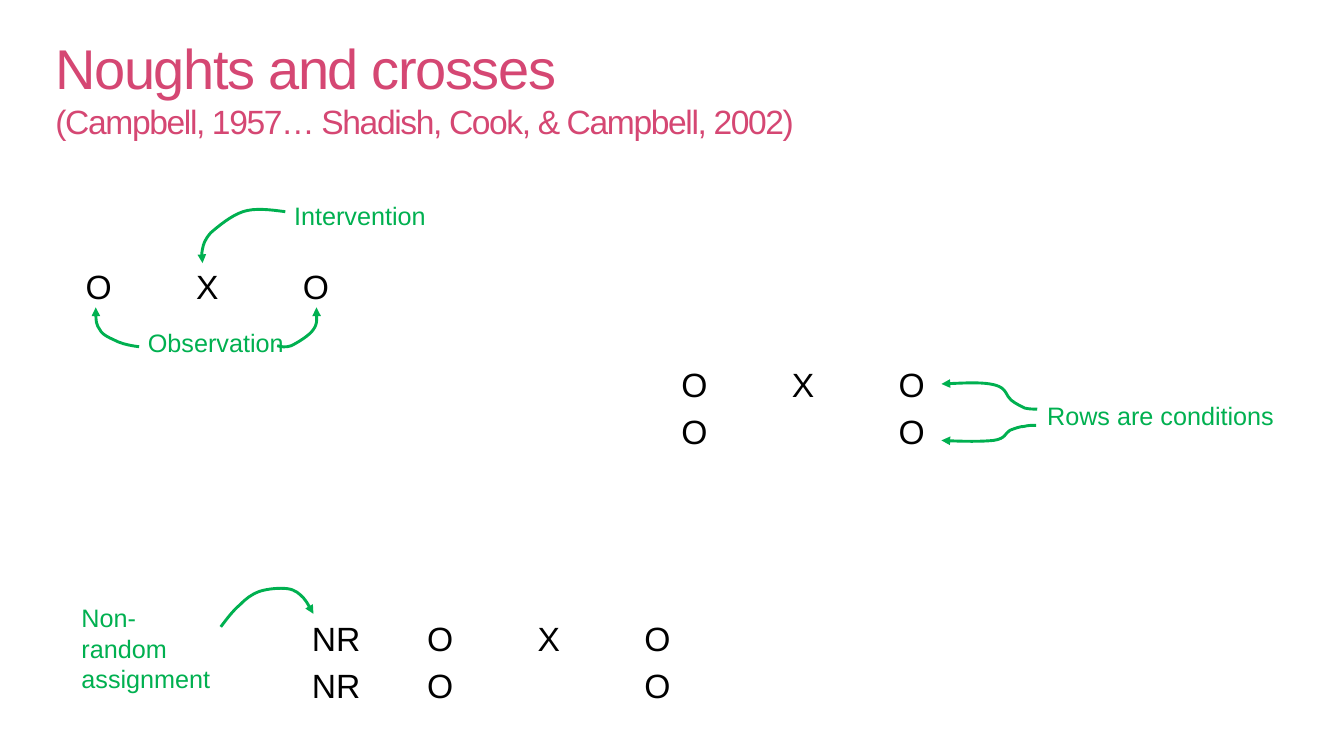
from dataclasses import dataclass

from lxml.etree import SubElement
from pptx import Presentation
from pptx.dml.color import RGBColor
from pptx.enum.text import MSO_ANCHOR, MSO_AUTO_SIZE, PP_ALIGN
from pptx.oxml.ns import qn
from pptx.slide import Slide
from pptx.util import Pt

LEFT, CENTER = PP_ALIGN.LEFT, PP_ALIGN.CENTER
MIDDLE, NO_FIT = MSO_ANCHOR.MIDDLE, MSO_AUTO_SIZE.NONE


@dataclass(frozen=True)
class Theme:
    font: str = "Arial"
    pink: RGBColor = RGBColor(0xD5, 0x47, 0x73)
    green: RGBColor = RGBColor(0x00, 0xB0, 0x50)
    black: RGBColor = RGBColor(0, 0, 0)
    head: float = 40
    body: float = 24
    note: float = 18
    line: float = 2.08
    col: float = 77.6
    row: float = 29.5


@dataclass(frozen=True)
class Grid:
    left: float
    top: float
    rows: list[list[str]]


@dataclass(frozen=True)
class Label:
    text: str
    left: float
    top: float
    width: float
    height: float = 29
    wrap: bool = False


@dataclass(frozen=True)
class Arrow:
    """A start point, then three points for each curve."""
    points: list[tuple[float, float]]


THEME = Theme()

TITLE = [("Noughts and crosses", THEME.head),
         ("(Campbell, 1957… Shadish, Cook, & Campbell, 2002)", THEME.body)]

GRIDS = [
    Grid(457.2, 258.5, [["O", "X", "O"], ["O", "", "O"]]),
    Grid(198, 439.9, [[" NR", "O", "X", "O"], [" NR", "O", "", "O"]]),
    Grid(31.7, 188.6, [["O", "X", "O"]]),
]

LABELS = [
    Label("Non-random assignment", 51.1, 427, 113, 72.7, True),
    Label("Intervention", 203, 139.7, 109.4),
    Label("Observation", 98.6, 230.4, 112.3),
    Label("Rows are conditions", 740.9, 282.2, 177.8),
]

ARROWS = [
    # Intervention to X
    Arrow([(203.8, 151.2), (193, 149.8), (182.2, 148.3), (173.5, 151.2),
           (164.9, 154.1), (155.5, 162), (150.5, 166.3),
           (146.2, 171.4), (145.4, 174.2), (144.7, 177.8),
           (144, 181.4), (144, 185), (144.7, 187.9)]),
    # Conditions to the upper and lower rows
    Arrow([(740.9, 292.3), (738, 292.3), (735.8, 292.3), (732.2, 291.6),
           (729.4, 290.2), (725.8, 288.7), (722.2, 285.8),
           (718.6, 283), (719.3, 277.2), (710.6, 275),
           (702.7, 272.9), (687.6, 273.6), (672.5, 274.3)]),
    Arrow([(740.2, 303.8), (737.3, 303.8), (734.4, 303.8), (731.5, 304.6),
           (728.6, 304.6), (725, 306), (721.4, 307.4),
           (717.8, 309.6), (718.6, 313.2), (709.9, 314.6),
           (702, 315.4), (687.6, 315.4), (672.5, 314.6)]),
    # Assignment to NR
    Arrow([(157.7, 447.8), (162, 442.1), (166.3, 436.3), (171.4, 432),
           (175.7, 427.7), (179.3, 424.8), (185, 422.6),
           (190.8, 420.5), (200.2, 419.8), (205.2, 420.5),
           (211, 421.2), (213.8, 424.1), (216.7, 427),
           (219.6, 430.6), (221.8, 434.9), (223.9, 438.5)]),
    # Observation to the first and last O
    Arrow([(99.4, 247.7), (94.3, 247), (89.3, 246.2), (84.2, 244.1),
           (79.9, 241.9), (73.4, 239.8), (71.3, 235.4),
           (68.4, 231.1), (68.4, 225.4), (68.4, 219.6)]),
    Arrow([(198, 247), (200.9, 247.7), (203.8, 248.4), (208.1, 247),
           (212.4, 244.8), (221, 239.8), (223.9, 235.4),
           (226.8, 231.1), (226.1, 225.4), (226.1, 219.6)]),
]


def apply(item: object, values: dict[str, object]) -> None:
    for name, value in values.items():
        setattr(item, name, value)


def style(font: object, size: float, color: RGBColor) -> None:
    apply(font, {"name": THEME.font, "size": Pt(size), "bold": False})
    font.color.rgb = color


def draw_title(slide: Slide) -> None:
    title = slide.shapes.title
    apply(title, {"left": Pt(32.4), "top": Pt(15.1),
                  "width": Pt(648), "height": Pt(90)})
    apply(title.text_frame, {
        "word_wrap": True, "auto_size": NO_FIT, "vertical_anchor": MIDDLE,
        "margin_top": Pt(8.6), "margin_bottom": Pt(3.6)})
    para = title.text_frame.paragraphs[0]
    apply(para, {"alignment": LEFT, "line_spacing": 1.0})
    for place, (text, size) in enumerate(TITLE):
        if place:
            para.add_line_break()
        run = para.add_run()
        run.text = text
        style(run.font, size, THEME.pink)
        run.font._element.set("spc", "-100")


def draw_grid(slide: Slide, grid: Grid) -> None:
    rows, cols = len(grid.rows), len(grid.rows[0])
    table = slide.shapes.add_table(
        rows, cols, Pt(grid.left), Pt(grid.top),
        Pt(cols * THEME.col), Pt(rows * THEME.row)).table
    apply(table, {"first_row": False, "horz_banding": False})
    for r, row in enumerate(grid.rows):
        for c, text in enumerate(row):
            cell = table.cell(r, c)
            cell.fill.background()
            para = cell.text_frame.paragraphs[0]
            para.alignment = CENTER
            if text:
                run = para.add_run()
                run.text = text
                style(run.font, THEME.body, THEME.black)


def draw_label(slide: Slide, label: Label) -> None:
    box = slide.shapes.add_textbox(Pt(label.left), Pt(label.top),
                                   Pt(label.width), Pt(label.height))
    box.text_frame.word_wrap = label.wrap
    run = box.text_frame.paragraphs[0].add_run()
    run.text = label.text
    style(run.font, THEME.note, THEME.green)


def draw_arrow(slide: Slide, arrow: Arrow) -> None:
    start, *rest = [(Pt(x), Pt(y)) for x, y in arrow.points]
    build = slide.shapes.build_freeform(*start, scale=1.0)
    build.add_line_segments(rest, close=False)
    shape = build.convert_to_shape()
    shape.shadow.inherit = False
    shape.fill.background()
    shape.line.color.rgb = THEME.green
    shape.line.width = Pt(THEME.line)
    # Join each three straight steps into one curve
    route = shape.element.xpath(".//a:path")[0]
    steps = route.findall(qn("a:lnTo"))
    for i in range(0, len(steps), 3):
        curve = SubElement(route, qn("a:cubicBezTo"))
        for step in steps[i:i + 3]:
            curve.append(step[0])
            route.remove(step)
    SubElement(shape.line._get_or_add_ln(), qn("a:tailEnd"), type="triangle")


def main() -> None:
    deck = Presentation()
    apply(deck, {"slide_width": Pt(960), "slide_height": Pt(540)})
    slide = deck.slides.add_slide(deck.slide_layouts[5])
    draw_title(slide)
    for grid in GRIDS:
        draw_grid(slide, grid)
    for label in LABELS:
        draw_label(slide, label)
    for arrow in ARROWS:
        draw_arrow(slide, arrow)
    deck.save("out.pptx")


if __name__ == "__main__":
    main()
